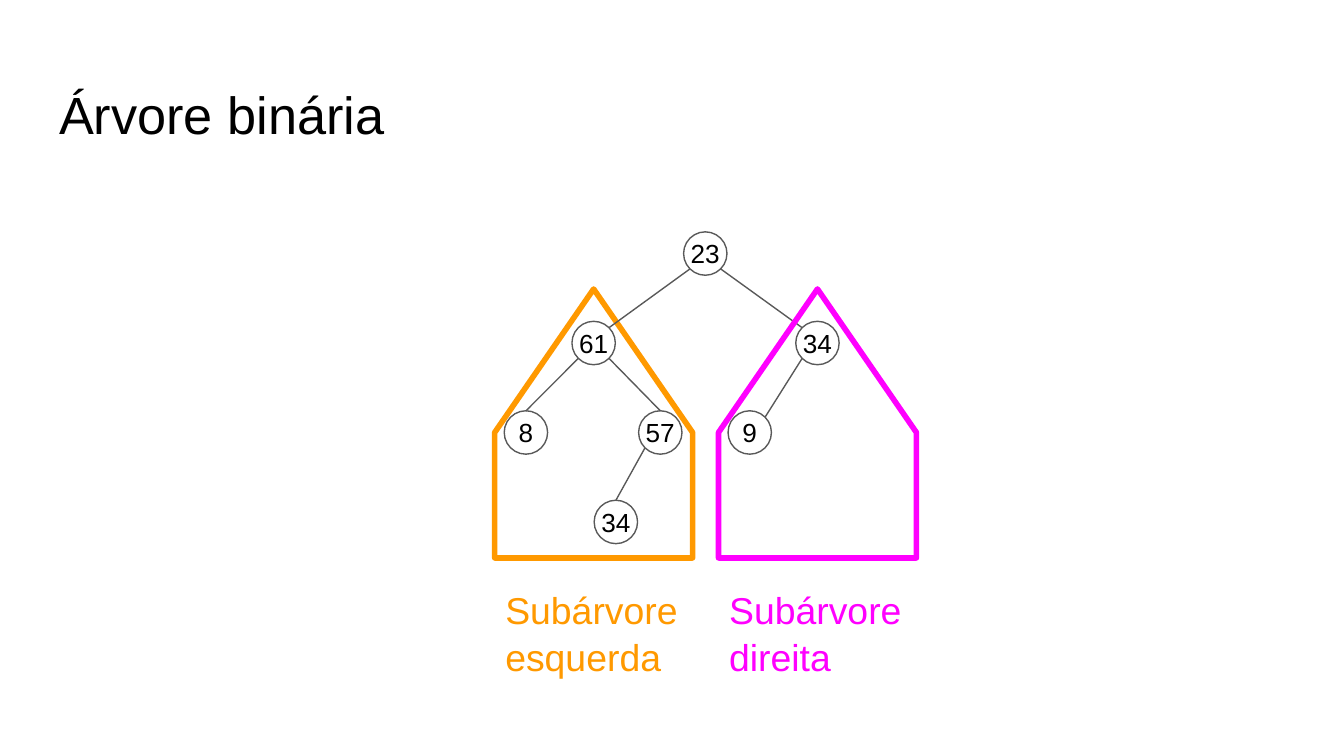
from math import sqrt

from lxml import etree
from pptx import Presentation
from pptx.dml.color import RGBColor
from pptx.enum.shapes import MSO_CONNECTOR, MSO_SHAPE
from pptx.enum.text import MSO_ANCHOR, PP_ALIGN
from pptx.oxml.ns import qn
from pptx.util import Cm, Pt

OVAL = MSO_SHAPE.OVAL
STRAIGHT = MSO_CONNECTOR.STRAIGHT
MIDDLE, TOP = MSO_ANCHOR.MIDDLE, MSO_ANCHOR.TOP
LEFT, CENTER = PP_ALIGN.LEFT, PP_ALIGN.CENTER

BLACK, GRAY, ORANGE, MAGENTA = "000000", "595959", "FF9900", "FF00FF"
DIAMETER = 0.82
ROOT_Y, LEVEL = 4.79, 1.69
LEFT_X, RIGHT_X = 11.22, 15.45
HOUSE_HALF, HOUSE_TOP, HOUSE_SHOULDER, HOUSE_BOTTOM = 1.87, 5.46, 8.17, 10.54

NODES = {
    "root": ("23", 13.33, 0),
    "left": ("61", LEFT_X, 1),
    "right": ("34", RIGHT_X, 1),
    "left_left": ("8", 9.94, 2),
    "left_right": ("57", 12.48, 2),
    "right_left": ("9", 14.17, 2),
    "leaf": ("34", 11.64, 3),
}
DIAGONAL = 1 / sqrt(2)
EDGES = [
    ("root", -DIAGONAL, "left", DIAGONAL),
    ("root", DIAGONAL, "right", -DIAGONAL),
    ("left", -DIAGONAL, "left_left", 0),
    ("left", DIAGONAL, "left_right", 0),
    ("right", -DIAGONAL, "right_left", DIAGONAL),
    ("left_right", -DIAGONAL, "leaf", 0),
]


def color(value):
    """Turn a hex string into a colour."""
    return RGBColor.from_string(value)


class TreeSlide:
    """Style and drawing methods for the tree slide."""

    def __init__(self, s, font="Arial"):
        self.s = s
        self.font = font

    def stroke(self, sp, line_color, width):
        sp.line.color.rgb = color(line_color)
        sp.line.width = Pt(width)

    def set_text(self, sp, text, size, text_color, inset, anchor, align, spacing):
        tf = sp.text_frame
        tf.text = text
        tf.word_wrap = True
        tf.vertical_anchor = anchor
        tf.margin_left = tf.margin_right = Cm(inset)
        tf.margin_top = tf.margin_bottom = Cm(inset)
        p = tf.paragraphs[0]
        p.alignment = align
        p.line_spacing = spacing
        font = p.runs[0].font
        font.name, font.size = self.font, Pt(size)
        font.color.rgb = color(text_color)

    def label(self, text, x, y, w, h, size, text_color):
        sp = self.s.shapes.add_textbox(Cm(x), Cm(y), Cm(w), Cm(h))
        self.set_text(sp, text, size, text_color, 0.25, TOP, LEFT, 1.05)

    def node(self, text, x, level):
        y = ROOT_Y + level * LEVEL
        sp = self.s.shapes.add_shape(
            OVAL, Cm(x - DIAMETER / 2), Cm(y - DIAMETER / 2), Cm(DIAMETER), Cm(DIAMETER)
        )
        sp.shadow.inherit = False
        sp.fill.background()
        self.stroke(sp, GRAY, 0.75)
        self.set_text(sp, text, 14, BLACK, 0, MIDDLE, CENTER, 1.0)

    def rim(self, name, across, side):
        x, level = NODES[name][1:]
        down = side * sqrt(1 - across**2)
        radius = DIAMETER / 2
        return Cm(x + across * radius), Cm(ROOT_Y + level * LEVEL + down * radius)

    def edge(self, parent, start, child, end):
        line = self.s.shapes.add_connector(
            STRAIGHT, *self.rim(parent, start, 1), *self.rim(child, end, -1)
        )
        self.stroke(line, GRAY, 0.75)
        etree.SubElement(line._element.spPr, qn("a:effectLst"))

    def house(self, x, line_color):
        left, right = x - HOUSE_HALF, x + HOUSE_HALF
        corners = [
            (right, HOUSE_SHOULDER),
            (right, HOUSE_BOTTOM),
            (left, HOUSE_BOTTOM),
            (left, HOUSE_SHOULDER),
        ]
        builder = self.s.shapes.build_freeform(Cm(x), Cm(HOUSE_TOP))
        builder.add_line_segments([(Cm(cx), Cm(cy)) for cx, cy in corners], close=True)
        sp = builder.convert_to_shape()
        sp.shadow.inherit = False
        sp.fill.background()
        self.stroke(sp, line_color, 3)


def main():
    """Build and save the slide."""
    prs = Presentation()
    prs.slide_width, prs.slide_height = Cm(25.4), Cm(14.28)
    tree = TreeSlide(prs.slides.add_slide(prs.slide_layouts[6]))

    tree.house(LEFT_X, ORANGE)
    tree.label("Árvore binária", 0.87, 1.24, 23.67, 1.6, 28, BLACK)
    for node in NODES.values():
        tree.node(*node)
    for edge in EDGES:
        tree.edge(*edge)
    tree.house(RIGHT_X, MAGENTA)
    for text, x, text_color in (
        ("Subárvore esquerda", LEFT_X, ORANGE),
        ("Subárvore direita", RIGHT_X, MAGENTA),
    ):
        tree.label(text, x - HOUSE_HALF - 0.05, 10.8, 3.96, 1.17, 20, text_color)

    prs.save("out.pptx")


if __name__ == "__main__":
    main()
